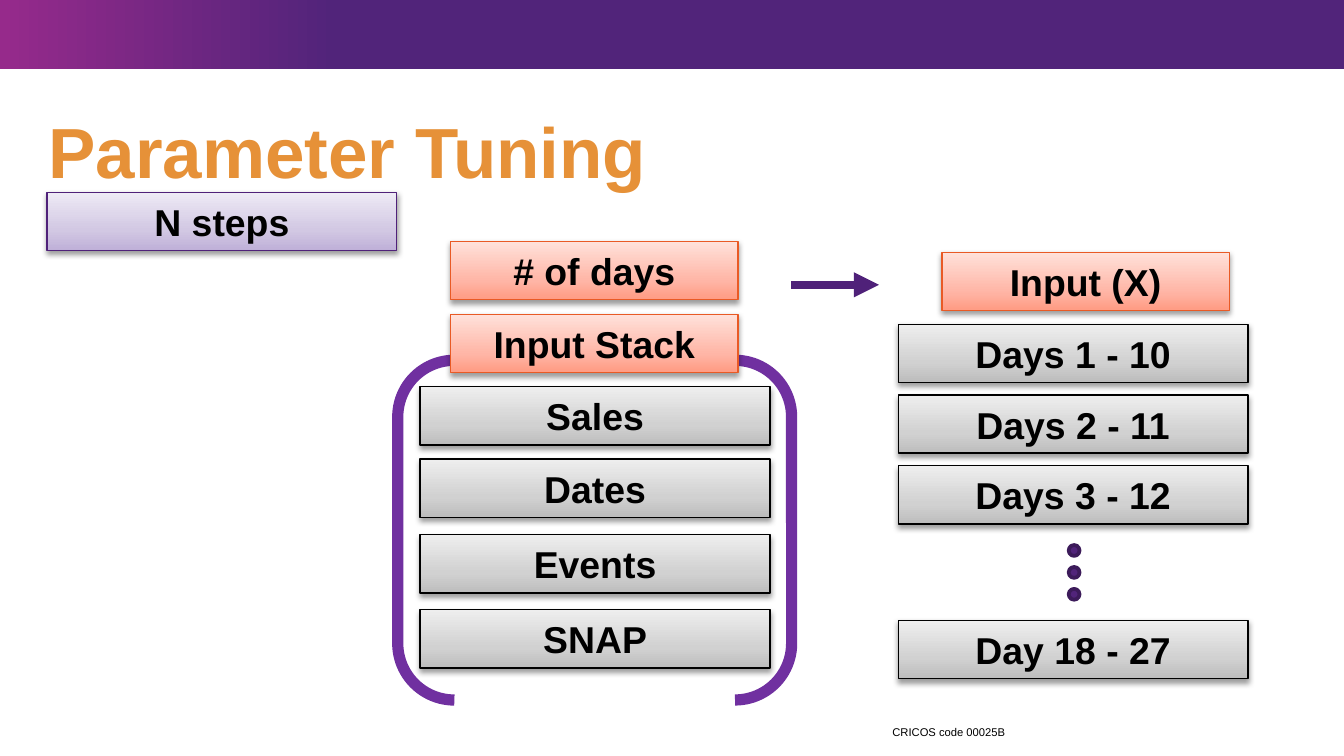
from pptx import Presentation
from pptx.dml.color import RGBColor
from pptx.enum.shapes import MSO_CONNECTOR as LINK, MSO_SHAPE as SHAPE
from pptx.enum.text import MSO_ANCHOR as ANCHOR, MSO_AUTO_SIZE as FIT, PP_ALIGN as ALIGN
from pptx.oxml import parse_xml
from pptx.oxml.ns import nsdecls, qn
from pptx.util import Pt

COLORS = {
    "black": "000000", "title": "E69138", "purple": "51247A", "magenta": "962A8B",
    "arrow": "4F2179", "bracket": "7030A0", "dot_edge": "3C1B5A", "orange": "E95A25",
}
# Gradient stops (percent, colour) and border of each kind of label
STYLES = {
    "violet": ([(0, "BFB0D8"), (35, "D2C8E3"), (100, "EEEAF5")], "arrow"),
    "coral": ([(0, "FF9B83"), (35, "FFB7A8"), (100, "FFE1DA")], "orange"),
    "gray": ([(0, "BDBDBD"), (35, "D1D1D1"), (100, "EEEEEE")], "black"),
}
LABEL_HEIGHT, WIDE, NARROW = 31.2, 187.4, 154


def rgb(name):
    return RGBColor.from_string(COLORS[name])


def write(box, text, size, color="black", bold=False, align=ALIGN.LEFT,
          margins=(0, 0), spacing=None):
    frame = box.text_frame
    frame.word_wrap = True
    frame.auto_size = FIT.NONE
    frame.vertical_anchor = ANCHOR.MIDDLE
    frame.margin_left = frame.margin_right = Pt(margins[0])
    frame.margin_top = frame.margin_bottom = Pt(margins[1])
    para = frame.paragraphs[0]
    para.alignment = align
    if spacing:
        para.line_spacing = spacing
    span = para.add_run()
    span.text = text
    font = span.font
    font.name, font.size, font.bold = "Arial", Pt(size), bold
    font.color.rgb = rgb(color)


def add_shape(page, kind, left, top, width, height, fill=None, line=None, weight=0.75):
    shape = page.shapes.add_shape(kind, Pt(left), Pt(top), Pt(width), Pt(height))
    shape.shadow.inherit = False
    if fill:
        shape.fill.solid()
        shape.fill.fore_color.rgb = rgb(fill)
    else:
        shape.fill.background()
    if line:
        shape.line.color.rgb = rgb(line)
        shape.line.width = Pt(weight)
    else:
        shape.line.fill.background()
    return shape


def set_gradient(shape, stops, angle):
    marks = "".join(
        f'<a:gs pos="{pos * 1000}"><a:srgbClr val="{color}"/></a:gs>' for pos, color in stops)
    gradient = parse_xml(
        f'<a:gradFill {nsdecls("a")} rotWithShape="1"><a:gsLst>{marks}</a:gsLst>'
        f'<a:lin ang="{angle * 60000}" scaled="0"/></a:gradFill>')
    props = shape.element.spPr
    props.replace(props.find(qn("a:noFill")), gradient)


def add_shadow(shape):
    shape.element.spPr.find(qn("a:effectLst")).append(parse_xml(
        f'<a:outerShdw {nsdecls("a")} blurRad="{Pt(3.1)}" dist="{Pt(1.6)}" dir="5400000" '
        f'rotWithShape="0"><a:srgbClr val="{COLORS["black"]}"><a:alpha val="38000"/>'
        '</a:srgbClr></a:outerShdw>'))


def add_label(page, text, left, top, width, style):
    stops, border = STYLES[style]
    label = add_shape(page, SHAPE.RECTANGLE, left, top, width, LABEL_HEIGHT, line=border)
    set_gradient(label, stops, 270)
    add_shadow(label)
    write(label, text, 20, bold=True, align=ALIGN.CENTER, margins=(7.2, 3.6))


def add_arrow(page, left, right, y):
    arrow = page.shapes.add_connector(LINK.STRAIGHT, Pt(left), Pt(y), Pt(right), Pt(y))
    arrow.line.color.rgb = rgb("arrow")
    arrow.line.width = Pt(4.5)
    arrow.line._get_or_add_ln().append(
        parse_xml(f'<a:tailEnd {nsdecls("a")} type="triangle"/>'))
    arrow.element.spPr.append(parse_xml(f'<a:effectLst {nsdecls("a")}/>'))


def main():
    deck = Presentation()
    deck.slide_width, deck.slide_height = Pt(720), Pt(405)
    page = deck.slides.add_slide(deck.slide_layouts[5])

    # Header band, title and footer code
    band = add_shape(page, SHAPE.RECTANGLE, 0, 0, 720, 37.1)
    set_gradient(band, [(0, COLORS["magenta"]), (25, COLORS["purple"]),
                        (100, COLORS["purple"])], 0)
    title = page.shapes.title
    title.left, title.top, title.width, title.height = Pt(25.9), Pt(41.8), Pt(691), Pt(83.5)
    write(title, "Parameter Tuning", 38, color="title", bold=True, spacing=0.9)
    code = page.shapes.add_textbox(Pt(478.1), Pt(385.2), Pt(141), Pt(14.4))
    write(code, "CRICOS code 00025B", 6)

    # Step count
    add_label(page, "N steps", 25.2, 103, WIDE, "violet")

    # Bracketed input stack
    add_shape(page, SHAPE.DOUBLE_BRACKET, 213.1, 193, 211, 182, line="bracket", weight=6)
    for text, top in (("# of days", 129.4), ("Input Stack", 168.5)):
        add_label(page, text, 241.4, top, NARROW, "coral")
    for text, top in (("Sales", 207.2), ("Dates", 246), ("Events", 286.4), ("SNAP", 326.6)):
        add_label(page, text, 225.1, top, WIDE, "gray")

    # Input windows
    add_arrow(page, 423.8, 470.9, 152.6)
    add_label(page, "Input (X)", 504.6, 135.2, NARROW, "coral")
    for row, text in enumerate(("Days 1 - 10", "Days 2 - 11", "Days 3 - 12")):
        add_label(page, text, 481.2, 173.7 + 37.9 * row, WIDE, "gray")
    add_label(page, "Day 18 - 27", 481.2, 332.4, WIDE, "gray")

    # Dots for the windows left out
    for row in range(3):
        add_shape(page, SHAPE.OVAL, 572.5, 292 + 11.75 * row, 5.8, 5.8,
                  fill="purple", line="dot_edge", weight=2)

    deck.save("out.pptx")


if __name__ == "__main__":
    main()
